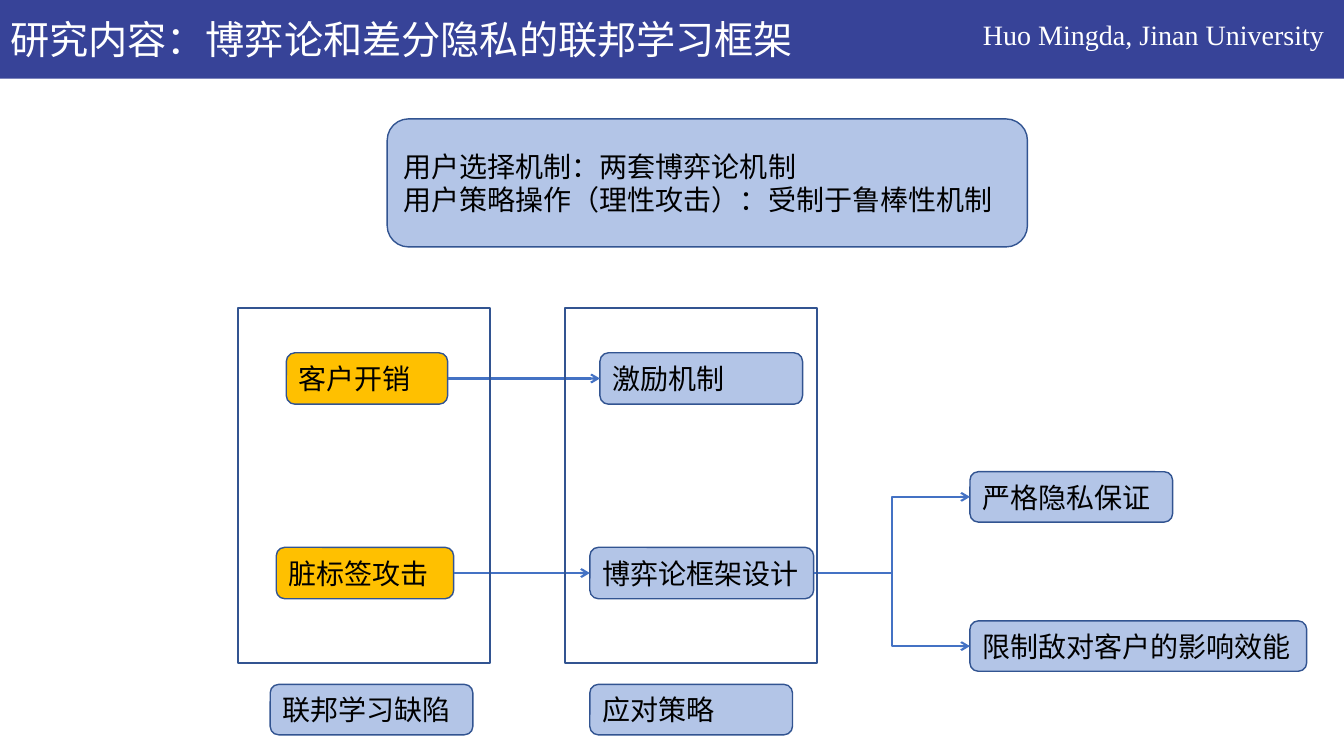
from pptx import Presentation
from pptx.dml.color import RGBColor
from pptx.enum.shapes import MSO_CONNECTOR, MSO_SHAPE
from pptx.enum.text import MSO_ANCHOR, PP_ALIGN
from pptx.oxml.ns import qn
from pptx.util import Pt
from lxml import etree

RECT, ROUNDED = MSO_SHAPE.RECTANGLE, MSO_SHAPE.ROUNDED_RECTANGLE
STRAIGHT, ELBOW = MSO_CONNECTOR.STRAIGHT, MSO_CONNECTOR.ELBOW
LEFT, MIDDLE = PP_ALIGN.LEFT, MSO_ANCHOR.MIDDLE
LEFT_SITE, RIGHT_SITE = 1, 3

PX = 9144
SANS, SERIF = "Noto Sans CJK SC", "Times New Roman"
NAVY = RGBColor(0x37, 0x43, 0x98)
SOFT_BLUE = RGBColor(0x8F, 0xAA, 0xDC)
AMBER = RGBColor(0xFF, 0xC0, 0x00)
OUTLINE = RGBColor(0x32, 0x54, 0x91)
ARROW = RGBColor(0x44, 0x72, 0xC4)
BLACK = RGBColor(0, 0, 0)
WHITE = RGBColor(0xFF, 0xFF, 0xFF)


def add_run(paragraph, text, size, font, color):
    paragraph.alignment = LEFT
    run = paragraph.add_run()
    run.text = text
    run.font.size = Pt(size)
    run.font.name = font
    run.font.color.rgb = color
    east_asian = etree.SubElement(run.font._element, qn("a:ea"))
    east_asian.set("typeface", SANS)


def add_box(kind, bounds, fill, line_width):
    box = slide.shapes.add_shape(kind, *[n * PX for n in bounds])
    box.shadow.inherit = False
    if fill is None:
        box.fill.background()
    else:
        box.fill.solid()
        box.fill.fore_color.rgb = fill
    if fill == SOFT_BLUE:
        color = box._element.spPr.find(qn("a:solidFill"))[0]
        etree.SubElement(color, qn("a:alpha")).set("val", "68000")
    if line_width:
        box.line.color.rgb = OUTLINE
        box.line.width = Pt(line_width)
    else:
        box.line.fill.background()
    return box


prs = Presentation()
prs.slide_width, prs.slide_height = 1333 * PX, 750 * PX
slide = prs.slides.add_slide(prs.slide_layouts[6])

add_box(RECT, (0, 0, 1333, 78), NAVY, 0)

title = slide.shapes.add_textbox(10 * PX, 15 * PX, 904 * PX, 47 * PX).text_frame
title.word_wrap = True
title.margin_left = title.margin_right = title.margin_top = title.margin_bottom = 0
for text, font in (("研究内容：博弈论和差分隐私的", SERIF), ("联邦学习框架", SANS)):
    add_run(title.paragraphs[0], text, 28, font, WHITE)

author = slide.shapes.add_textbox(965 * PX, 12 * PX, 375 * PX, 44 * PX).text_frame
author.word_wrap = True
add_run(author.paragraphs[0], "Huo Mingda, Jinan University", 20, SERIF, WHITE)

topics = {
    "cost": ((284, 350, 160, 51), AMBER, ["客户开销"]),
    "incentive": ((595, 350, 201, 51), SOFT_BLUE, ["激励机制"]),
    "mechanisms": ((384, 118, 635, 127), SOFT_BLUE,
                   ["用户选择机制：两套博弈论机制", "用户策略操作（理性攻击）：受制于鲁棒性机制"]),
    "attack": ((274, 543, 176, 51), AMBER, ["脏标签攻击"]),
    "design": ((585, 543, 222, 51), SOFT_BLUE, ["博弈论框架设计"]),
    "privacy": ((962, 468, 201, 50), SOFT_BLUE, ["严格隐私保证"]),
    "limit": ((962, 616, 334, 50), SOFT_BLUE, ["限制敌对客户的影响效能"]),
    "defects": ((268, 679, 201, 50), SOFT_BLUE, ["联邦学习缺陷"]),
    "strategies": ((585, 679, 201, 50), SOFT_BLUE, ["应对策略"]),
}
boxes = {}
for topic, (bounds, fill, lines) in topics.items():
    boxes[topic] = add_box(ROUNDED, bounds, fill, 1)
    frame = boxes[topic].text_frame
    frame.word_wrap = True
    frame.vertical_anchor = MIDDLE
    for i, text in enumerate(lines):
        paragraph = frame.add_paragraph() if i else frame.paragraphs[0]
        add_run(paragraph, text, 20, SANS, BLACK)

for kind, source, target in (
    (STRAIGHT, "cost", "incentive"),
    (STRAIGHT, "attack", "design"),
    (ELBOW, "design", "privacy"),
    (ELBOW, "design", "limit"),
):
    arrow = slide.shapes.add_connector(kind, 0, 0, 0, 0)
    arrow.begin_connect(boxes[source], RIGHT_SITE)
    arrow.end_connect(boxes[target], LEFT_SITE)
    arrow.line.color.rgb = ARROW
    arrow.line.width = Pt(1.5)
    etree.SubElement(arrow.line._get_or_add_ln(), qn("a:tailEnd")).set("type", "arrow")
    etree.SubElement(arrow._element.spPr, qn("a:effectLst"))

for frame_left in (236, 560):
    add_box(RECT, (frame_left, 306, 250, 352), None, 1.5)

prs.save("out.pptx")
